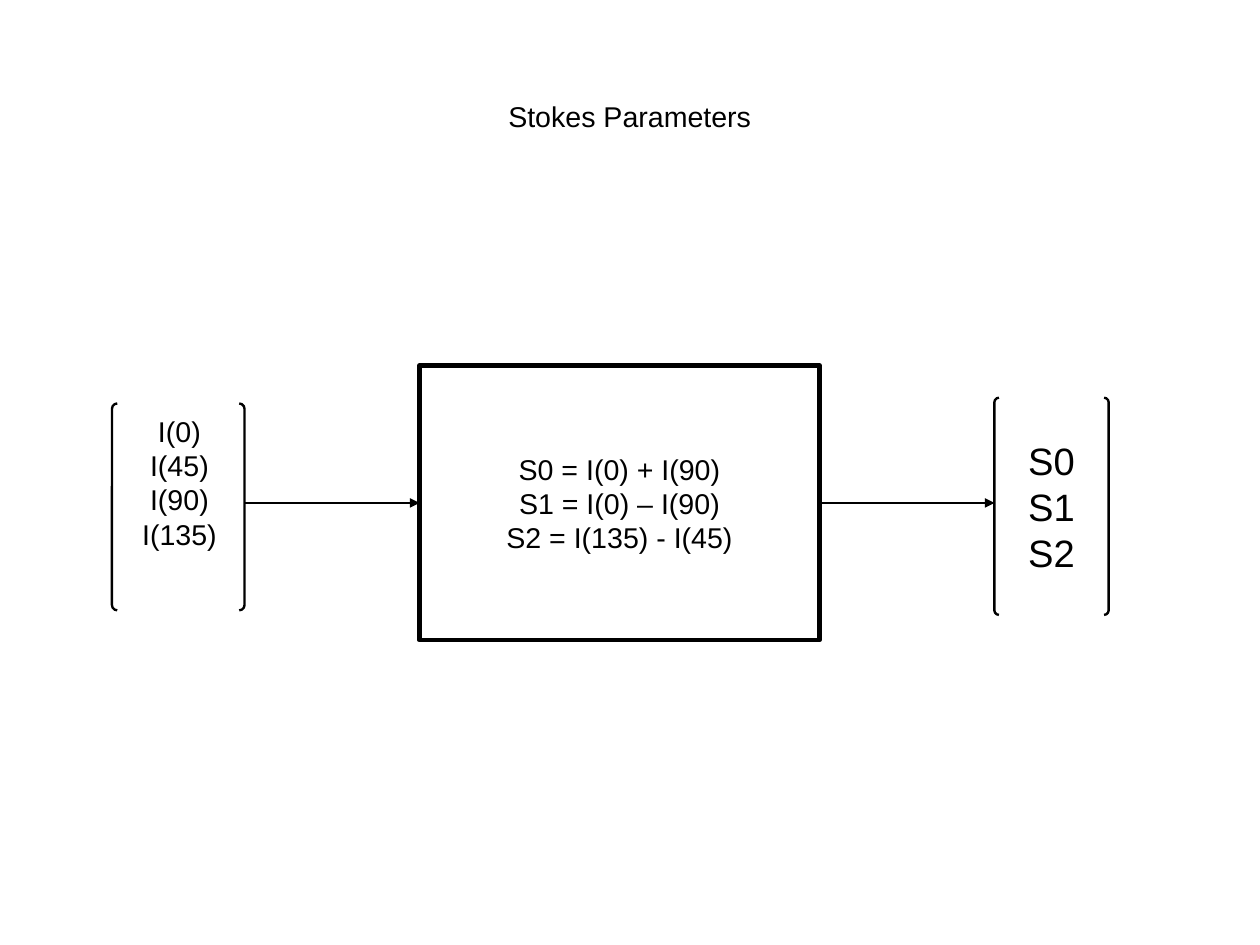
from pptx import Presentation
from pptx.dml.color import RGBColor
from pptx.enum.shapes import MSO_CONNECTOR, MSO_SHAPE
from pptx.enum.text import MSO_ANCHOR, PP_ALIGN
from pptx.oxml.ns import qn
from pptx.util import Cm, Inches, Pt
from lxml import etree

BLACK = RGBColor(0, 0, 0)
WHITE = RGBColor(255, 255, 255)
FONT = "Arial"
BRACKET, RECT = MSO_SHAPE.DOUBLE_BRACKET, MSO_SHAPE.RECTANGLE
STRAIGHT = MSO_CONNECTOR.STRAIGHT
CENTER = PP_ALIGN.CENTER
TOP, MIDDLE = MSO_ANCHOR.TOP, MSO_ANCHOR.MIDDLE

WIDTH, HEIGHT = Cm(28), Cm(21)
CELL = Inches(0.1)  # side of one grid cell
FLOW = 44  # row of the arrows


def grid(*cells):
    return [round(n * CELL) for n in cells]


def write(shape, lines, size=18, anchor=MIDDLE, pad=(1, 0.5)):
    frame = shape.text_frame
    frame.word_wrap = False
    frame.vertical_anchor = anchor
    frame.margin_left = frame.margin_right = grid(pad[0])[0]
    frame.margin_top = frame.margin_bottom = grid(pad[1])[0]
    for i, line in enumerate(lines):
        para = frame.paragraphs[0] if i == 0 else frame.add_paragraph()
        para.alignment = CENTER
        run = para.add_run()
        run.text = line
        run.font.name = FONT
        run.font.size = Pt(size)
        run.font.color.rgb = BLACK


def set_title(slide, text):
    title = slide.shapes.title
    title.left, title.top, title.width, title.height = grid(5.5, 3.3, 99.2, 13.8)
    write(title, [text], pad=(0, 0))


def add_frame(slide, kind, place, width):
    shape = slide.shapes.add_shape(kind, *grid(*place))
    shape.shadow.inherit = False
    shape.fill.background()
    shape.line.color.rgb = BLACK
    shape.line.width = Pt(width)
    if kind == BRACKET:
        shape.adjustments[0] = 0.04
    return shape


def add_arrow(slide, start, end):
    arrow = slide.shapes.add_connector(STRAIGHT, *grid(start, FLOW, end, FLOW))
    arrow.line.color.rgb = BLACK
    arrow.line.width = Pt(1.5)
    etree.SubElement(arrow.line._get_or_add_ln(), qn("a:tailEnd"), type="triangle")
    etree.SubElement(arrow._element.spPr, qn("a:effectLst"))


def main():
    deck = Presentation()
    deck.slide_width, deck.slide_height = WIDTH, HEIGHT
    slide = deck.slides.add_slide(deck.slide_layouts[5])
    slide.background.fill.solid()
    slide.background.fill.fore_color.rgb = WHITE
    set_title(slide, "Stokes Parameters")

    add_frame(slide, BRACKET, (9.8, 35.3, 11.6, 18.1), 1.5)
    label = slide.shapes.add_textbox(*grid(8.6, 35.7, 14.2, 18.1))
    write(label, ["I(0)", "I(45)", "I(90)", "I(135)"], anchor=TOP)

    box = add_frame(slide, RECT, (36.7, 32, 35, 24), 3)
    write(box, ["S0 = I(0) + I(90)", "S1 = I(0) – I(90)", "S2 = I(135) - I(45)"],
          pad=(1.2, 0.7))

    result = add_frame(slide, BRACKET, (87, 34.8, 10, 19), 1.5)
    write(result, ["S0", "S1", "S2"], size=24, pad=(1.1, 0.6))

    for start, end in ((21.4, 36.7), (71.7, 87)):
        add_arrow(slide, start, end)
    deck.save("out.pptx")


if __name__ == "__main__":
    main()
